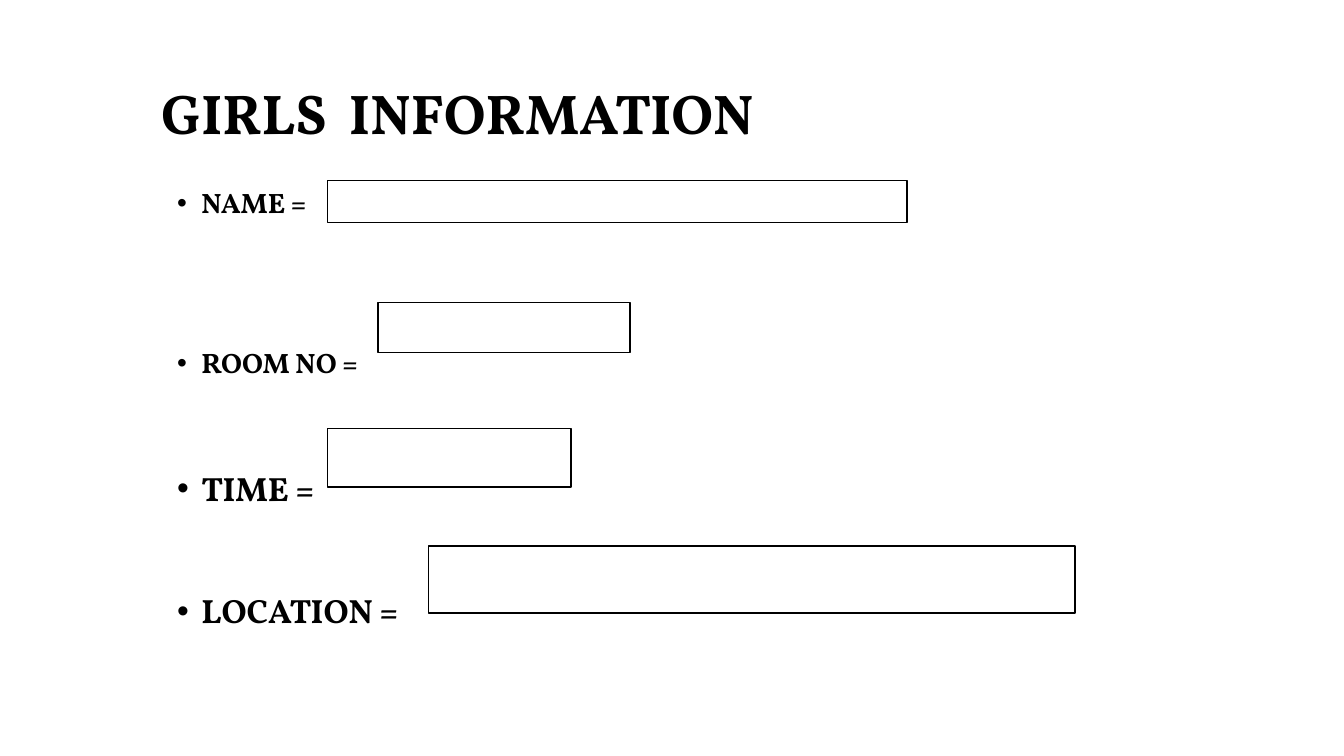
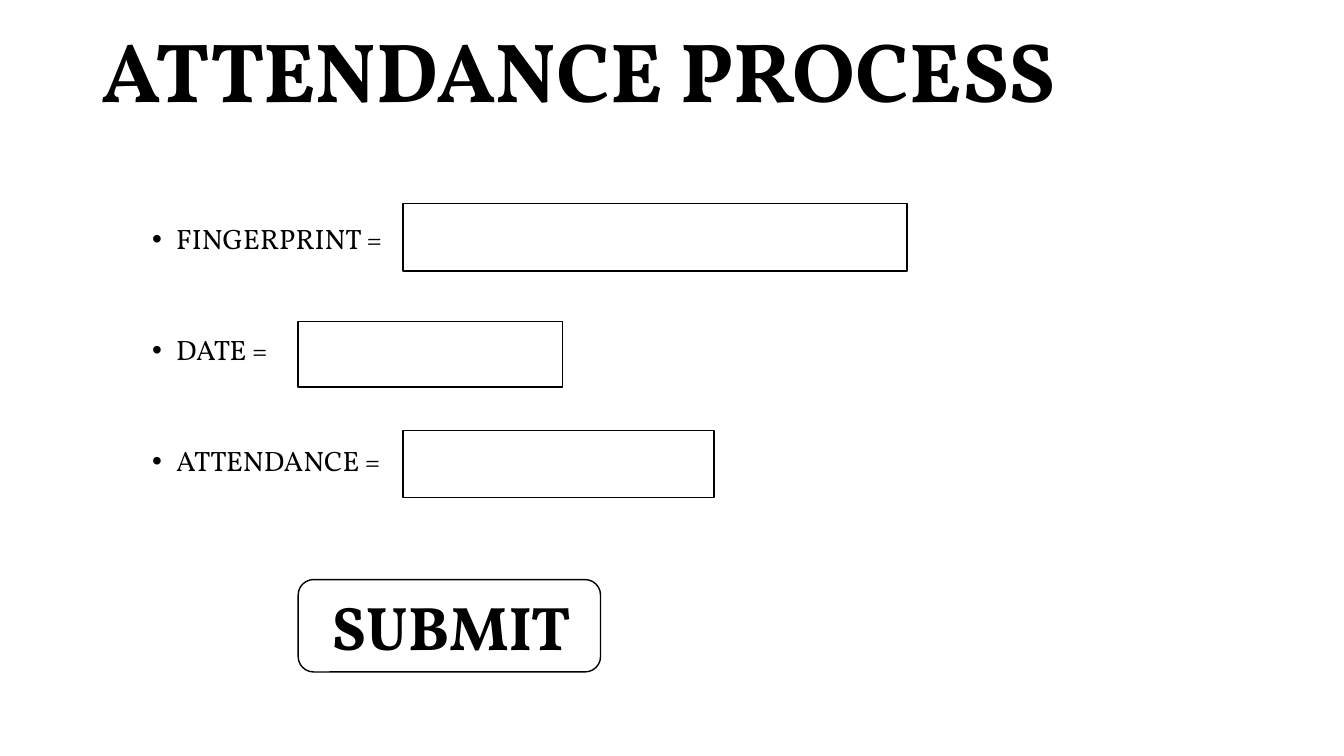
from lxml.etree import SubElement
from pptx import Presentation
from pptx.dml.color import RGBColor
from pptx.enum.shapes import MSO_SHAPE as Shape
from pptx.enum.text import MSO_ANCHOR as Anchor, PP_ALIGN as Align
from pptx.oxml.ns import qn
from pptx.util import Pt

BLACK = RGBColor(0x00, 0x00, 0x00)
WHITE = RGBColor(0xFF, 0xFF, 0xFF)
FONT = "Vollkorn"
LINE_SPACING = 0.9
BULLET_INDENT = Pt(17.28)


class FormDeck:
    """Style of the form slides, and the slide being filled."""

    def __init__(self):
        self.prs = Presentation()
        self.prs.slide_width, self.prs.slide_height = Pt(960), Pt(540)
        self.slide = None

    def new_slide(self):
        self.slide = self.prs.slides.add_slide(self.prs.slide_layouts[6])
        self.slide.background.fill.solid()
        self.slide.background.fill.fore_color.rgb = WHITE

    def add_words(self, paragraph, text, size, bold):
        run = paragraph.add_run()
        run.text = text
        for name, value in {"name": FONT, "size": Pt(size), "bold": bold}.items():
            setattr(run.font, name, value)
        run.font.color.rgb = BLACK
        paragraph.line_spacing = LINE_SPACING

    def text_frame(self, place, anchor):
        frame = self.slide.shapes.add_textbox(*map(Pt, place)).text_frame
        frame.word_wrap = True
        frame.vertical_anchor = anchor
        return frame

    def title(self, text, size, place):
        frame = self.text_frame(place, Anchor.BOTTOM)
        self.add_words(frame.paragraphs[0], text, size, True)

    def labels(self, rows, place, bold):
        """Bulleted labels; each row is text, size and space before."""
        frame = self.text_frame(place, Anchor.TOP)
        for number, (text, size, before) in enumerate(rows):
            label = frame.add_paragraph() if number else frame.paragraphs[0]
            if before:
                label.space_before = Pt(before)
            self.add_words(label, text, size, bold)
            self.bullet(label)

    def bullet(self, paragraph):
        props = paragraph._p.get_or_add_pPr()
        props.set("marL", str(BULLET_INDENT))
        props.set("indent", str(-BULLET_INDENT))
        SubElement(props, qn("a:buFont")).set("typeface", "Arial")
        SubElement(props, qn("a:buChar")).set("char", "•")

    def field(self, place, kind=Shape.RECTANGLE):
        box = self.slide.shapes.add_shape(kind, *map(Pt, place))
        box.shadow.inherit = False
        box.fill.solid()
        box.fill.fore_color.rgb = WHITE
        box.line.color.rgb = BLACK
        box.line.width = Pt(1)
        return box

    def button(self, text, size, place):
        frame = self.field(place, Shape.ROUNDED_RECTANGLE).text_frame
        frame.vertical_anchor = Anchor.MIDDLE
        frame.margin_left = Pt(10)
        frame.paragraphs[0].alignment = Align.CENTER
        self.add_words(frame.paragraphs[0], text, size, True)
        frame.paragraphs[0].line_spacing = 1.0


def main():
    deck = FormDeck()

    # Girls information
    deck.new_slide()
    deck.title("GIRLS  INFORMATION", 40, (108, 18, 756, 90))
    deck.labels(
        [("NAME =", 20, 0), ("ROOM NO =", 20, 92.7),
         ("TIME =", 24, 65.7), ("LOCATION =", 24, 61.5)],
        (119.5, 132, 757.5, 331), bold=True)
    for place in [(234, 129, 414, 30), (270, 216, 180, 36),
                  (234, 306, 174, 42), (306, 390, 462, 48)]:
        deck.field(place)

    # Attendance process
    deck.new_slide()
    deck.title("ATTENDANCE PROCESS", 60, (65.5, 18, 786, 72))
    deck.labels(
        [("FINGERPRINT =", 20, 0), ("DATE =", 20, 57.6), ("ATTENDANCE =", 20, 57.6)],
        (101.5, 157.5, 774, 322), bold=False)
    for place in [(288, 145.5, 360, 48), (213, 229.5, 189, 47),
                  (288, 307.5, 222, 48)]:
        deck.field(place)
    deck.button("SUBMIT", 44, (213, 414, 216, 66))

    deck.prs.save("out.pptx")


if __name__ == "__main__":
    main()
